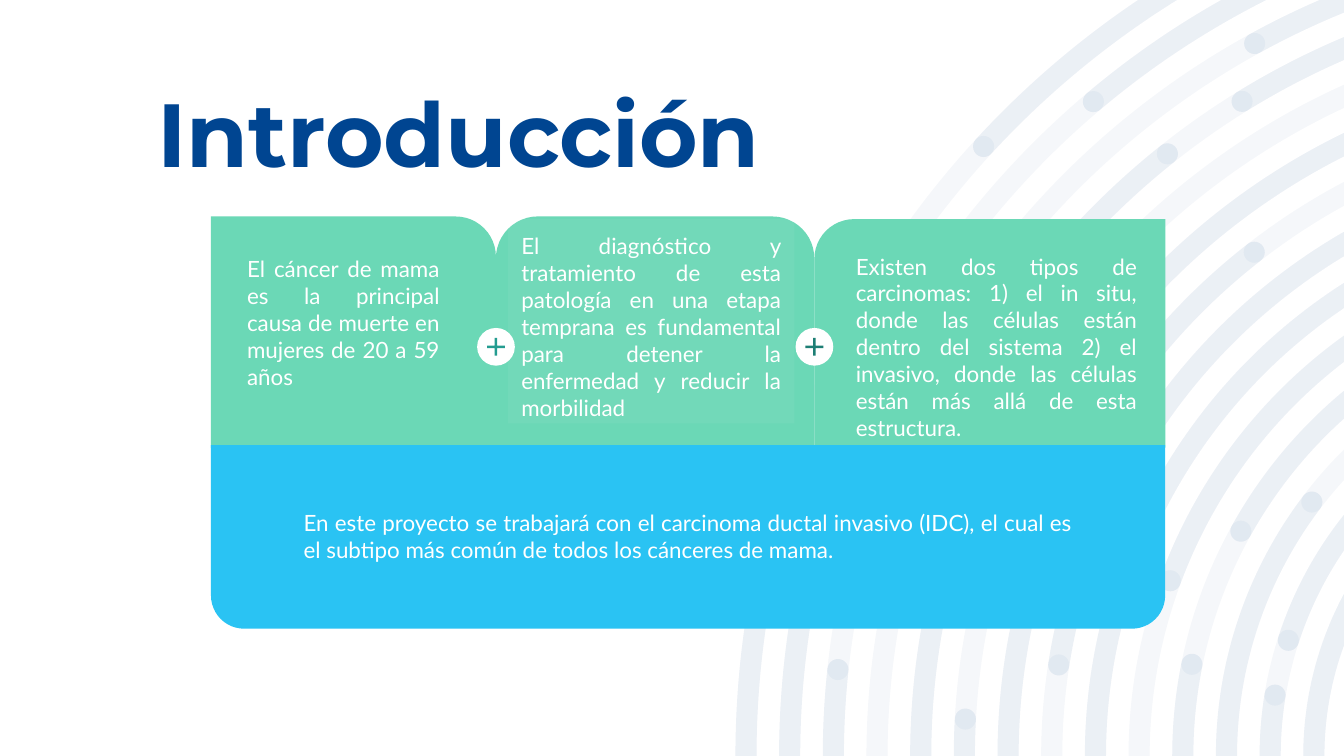
from math import acos, asin, cos, degrees, radians, sin

from lxml.etree import SubElement
from pptx import Presentation
from pptx.dml.color import RGBColor
from pptx.enum.shapes import MSO_SHAPE
from pptx.enum.text import MSO_ANCHOR, MSO_AUTO_SIZE, PP_ALIGN
from pptx.oxml.ns import qn
from pptx.util import Pt

WIDE, HIGH = 720, 405
NAVY, GREEN, BLUE, WHITE = "004591", "6BD8B6", "2AC3F3", "FFFFFF"

# Concentric rings: shared centre, outer radius, spacing and band width
MID_X, MID_Y = 882, 405
OUTER, STEP, BAND = 488, 23.4, 11.3
COUNT = 14
EDGE = 90  # an arc that runs on to the edge of the slide

# Start and end angle of the darker arcs on each ring, in degrees
ARCS = [
    [(0, 18.5), (42.6, EDGE)],
    [(0, 23.9), (49.8, EDGE)],
    [(0, 6.1), (15, 34.5), (61.2, EDGE)],
    [(19.3, 51.5), (58.3, EDGE)],
    [(0, 22.8)],
    [(0, 3.1), (33.6, EDGE)],
    [(0, 14.4), (34.4, 52.1)],
    [(8.8, EDGE)],
    [(0, EDGE)],
    [(20.2, EDGE)],
    [(0, 11.4), (29, EDGE)],
    [(0, 37.2)],
    [(0, 9.3), (17.9, EDGE)],
    [(0, EDGE)],
]

CARDS = [
    ("El cáncer de mama es la principal causa de muerte en mujeres de 20 a 59 años",
     (125.3, 129.6, 117.4, 36)),
    ("El diagnóstico y tratamiento de esta patología en una etapa temprana es "
     "fundamental para detener la enfermedad y reducir la morbilidad",
     (272.2, 117.4, 153.4, 109.4)),
    ("Existen dos tipos de carcinomas: 1) el in situ, donde las células están dentro "
     "del sistema 2) el invasivo, donde las células están más allá de esta estructura.",
     (451.4, 128.2, 164.9, 90.7)),
    ("En este proyecto se trabajará con el carcinoma ductal invasivo (IDC), el cual es "
     "el subtipo más común de todos los cánceres de mama.",
     (155.5, 265.7, 426.2, 61.9)),
]


def paint(shape, tone, alpha=None):
    shape.shadow.inherit = False
    shape.fill.solid()
    shape.fill.fore_color.rgb = RGBColor.from_string(tone)
    shape.line.fill.background()
    if alpha:
        clr = shape._element.spPr.find(".//" + qn("a:srgbClr"))
        SubElement(clr, qn("a:alpha")).set("val", str(alpha * 1000))


def add_block(slide, kind, box, tone, adj=None, flip=False, alpha=None):
    shape = slide.shapes.add_shape(kind, *map(Pt, box))
    paint(shape, tone, alpha)
    if adj is not None:
        shape.adjustments[0] = adj
    if flip:
        shape._element.spPr.find(qn("a:xfrm")).set("flipH", "1")
    return shape


def add_text(slide, text, box):
    frame = slide.shapes.add_textbox(*map(Pt, box)).text_frame
    frame.word_wrap = True
    frame.margin_left = frame.margin_right = Pt(7.2)
    frame.margin_top = frame.margin_bottom = Pt(7.2)
    frame.text = text
    para = frame.paragraphs[0]
    para.alignment = PP_ALIGN.JUSTIFY
    font = para.runs[0].font
    font.name, font.size = "Lato", Pt(12)
    font.color.rgb = RGBColor.from_string(WHITE)


def add_plus(slide, left, tone):
    add_block(slide, MSO_SHAPE.OVAL, (left, 175.7, 20.2, 20.2), WHITE)
    add_block(slide, MSO_SHAPE.MATH_PLUS, (left + 3.6, 179.3, 13, 13), tone, 0.099)


def spot(rad, turn):
    turn = radians(turn)
    return MID_X - rad * cos(turn), MID_Y - rad * sin(turn)


def leave(rad):
    """Angle at which a circle leaves the slide, at the top or the right."""
    return degrees(min(asin(min(1, MID_Y / rad)), acos((MID_X - WIDE) / rad)))


# An outline is a list of (point, curve); a curve (radius, start angle, sweep)
# leads to its point, and None stands for a straight line.
def band(ring, start=0, end=EDGE):
    """Outline of one arc, with round ends inside the slide."""
    out = OUTER - ring * STEP
    inner, half = out - BAND, BAND / 2
    high, low = (leave(out), leave(inner)) if end == EDGE else (end, end)
    far, near = spot(out, high), spot(inner, low)
    loop = [(spot(out, start), None), (far, (out, 180 + start, high - start))]
    if end != EDGE:
        loop.append((near, (half, 180 + end, 180)))
    else:
        if far[0] < WIDE - 1 and near[1] > 1:
            loop.append(((WIDE, 0), None))
        loop.append((near, None))
    loop.append((spot(inner, start), (inner, 180 + low, start - low)))
    if start:
        loop.append((spot(out, start), (half, start, 180)))
    return loop


def dot(ring, turn):
    """Outline of a disc on the middle line of a ring."""
    half = BAND / 2
    x, y = spot(OUTER - ring * STEP - half, turn)
    left, right = (x - half, y), (x + half, y)
    return [(left, None), (right, (half, 180, 180)), (left, (half, 0, 180))]


def bend(line, curve):
    """Turn a straight step of a path into a curve."""
    rad, start, turn = curve
    line.tag = qn("a:arcTo")
    line.remove(line[0])
    for name in ("wR", "hR"):
        line.set(name, str(Pt(rad)))
    line.set("stAng", str(round(start * 60000)))
    line.set("swAng", str(round(turn * 60000)))


def add_layer(slide, loops):
    pen = None
    for loop in loops:
        points = [(Pt(x), Pt(y)) for (x, y), _ in loop]
        if pen:
            pen.move_to(*points[0])
        else:
            pen = slide.shapes.build_freeform(*points[0], scale=1.0)
        pen.add_line_segments(points[1:], close=True)
    shape = pen.convert_to_shape()
    curves = [curve for loop in loops for _, curve in loop[1:]]
    lines = list(shape._element.iter(qn("a:lnTo")))
    for line, curve in zip(lines, curves):
        if curve:
            bend(line, curve)
    paint(shape, NAVY, 4)


def add_rings(slide):
    spans = [(ring, *arc) for ring, arcs in enumerate(ARCS) for arc in arcs]
    ends = [(ring, turn) for ring, *arc in spans for turn in arc if 0 < turn < EDGE]
    add_layer(slide, [band(ring) for ring in range(COUNT)])
    add_layer(slide, [band(*span) for span in spans])
    add_layer(slide, [dot(*end) for end in ends])


def set_title(slide, text):
    title = slide.shapes.title
    title.left, title.top, title.width, title.height = map(Pt, (84.2, 22.3, 550.8, 77.8))
    frame = title.text_frame
    frame.text = text
    frame.auto_size = MSO_AUTO_SIZE.NONE
    frame.vertical_anchor = MSO_ANCHOR.BOTTOM
    frame.margin_left = frame.margin_right = frame.margin_top = frame.margin_bottom = 0
    para = frame.paragraphs[0]
    para.alignment, para.line_spacing = PP_ALIGN.LEFT, 0.9
    font = para.runs[0].font
    font.name, font.size, font.bold = "Montserrat", Pt(48), True
    font.color.rgb = RGBColor.from_string(NAVY)


def main():
    deck = Presentation()
    deck.slide_width, deck.slide_height = Pt(WIDE), Pt(HIGH)
    slide = deck.slides.add_slide(deck.slide_layouts[5])
    add_rings(slide)
    set_title(slide, "Introducción")
    # Three green cards above one blue panel
    one, two = MSO_SHAPE.ROUND_1_RECTANGLE, MSO_SHAPE.ROUND_2_SAME_RECTANGLE
    add_block(slide, one, (113, 116, 152.7, 124), GREEN, 0.174)
    add_block(slide, two, (265.7, 116, 170.6, 124), GREEN, 0.181)
    add_block(slide, one, (436.3, 117.4, 188, 122.4), GREEN, 0.174, flip=True)
    add_block(slide, two, (113, 238.4, 511.2, 98.4), BLUE, 0.181).rotation = 180
    # Pale veil behind the middle text, then all texts
    add_block(slide, MSO_SHAPE.RECTANGLE, CARDS[1][1], WHITE, alpha=5)
    for text, box in CARDS:
        add_text(slide, text, box)
    # Plus signs on the seams
    add_plus(slide, 255.6, "249C90")
    add_plus(slide, 426.2, "1D7E74")
    deck.save("out.pptx")


if __name__ == "__main__":
    main()
